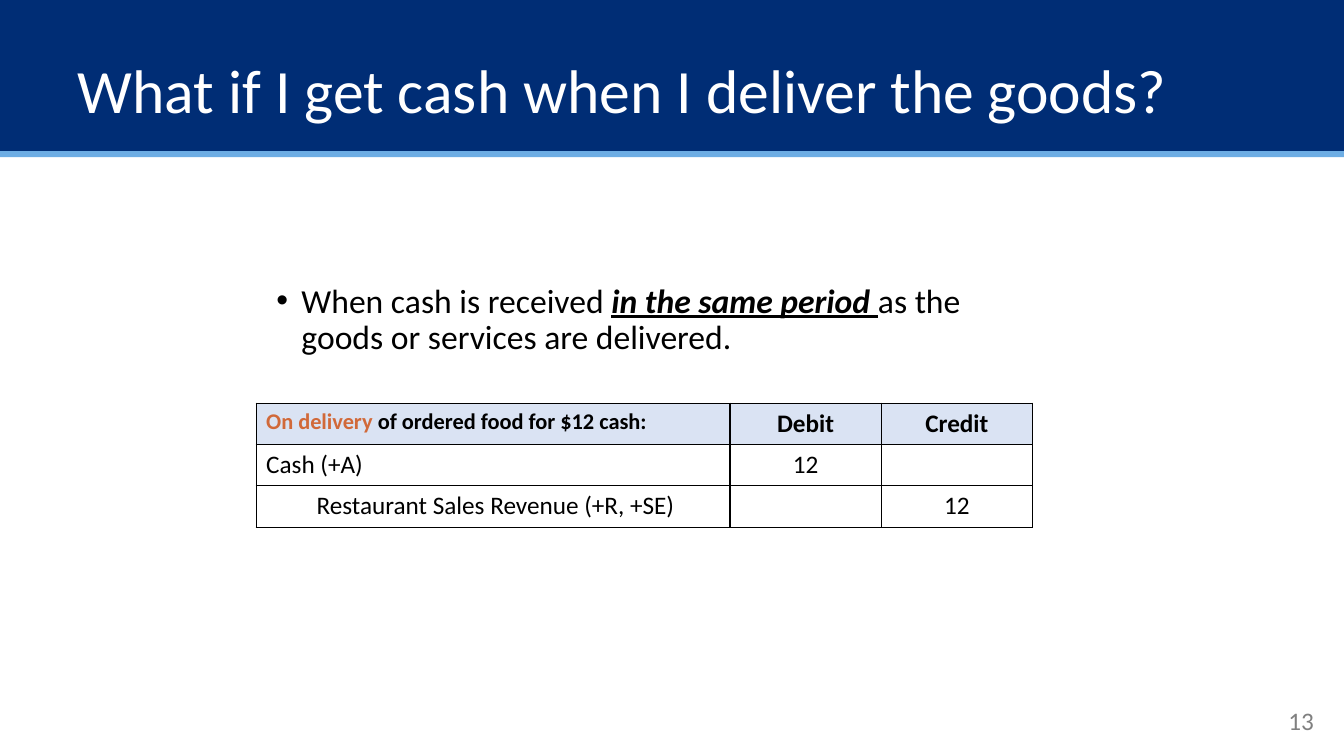
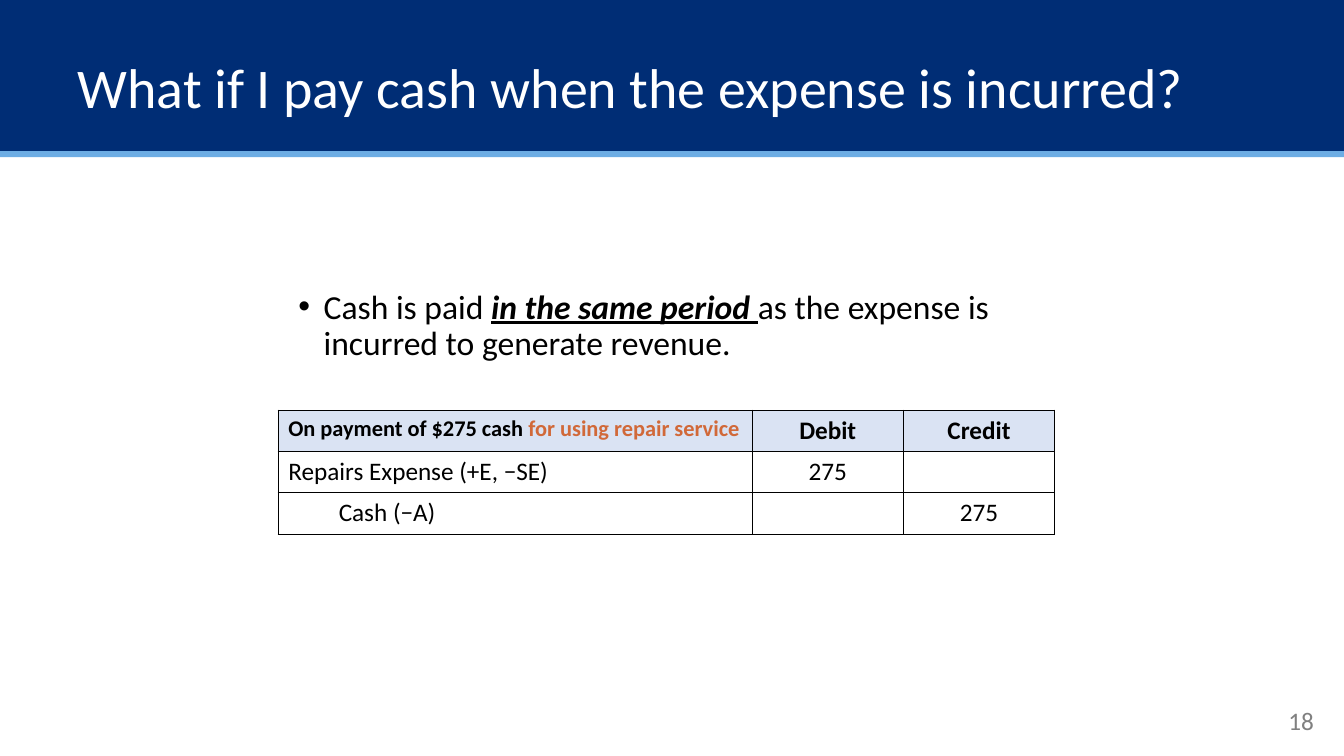
from lxml import etree
from pptx import Presentation
from pptx.dml.color import RGBColor
from pptx.enum.shapes import MSO_SHAPE
from pptx.enum.text import MSO_ANCHOR, MSO_AUTO_SIZE, PP_ALIGN
from pptx.oxml.ns import qn
from pptx.util import Inches, Pt

RECT = MSO_SHAPE.RECTANGLE
TOP = MSO_ANCHOR.TOP
NO_FIT = MSO_AUTO_SIZE.NONE
LEFT, CENTER, RIGHT = PP_ALIGN.LEFT, PP_ALIGN.CENTER, PP_ALIGN.RIGHT

COLORS = {
    "navy": "002D75",
    "sky": "6DADE4",
    "white": "FFFFFF",
    "black": "000000",
    "gray": "808080",
    "orange": "D16939",
    "header": "DAE3F3",
}
FONT = "Calibri"
COL_WIDTHS = [4.7, 1.5, 1.5]
ROW_HEIGHT = 0.41

SLIDES = [
    {
        "number": "13",
        "title": "What if I get cash when I deliver the goods?",
        "title_size": 44,
        "body_at": (2.64, 2.77),
        "body": ["When cash is received ", "in the same period ",
                 "as the goods or services are delivered."],
        "table_at": (2.54, 4),
        "heading": [("On delivery ", "orange"),
                    ("of ordered food for $12 cash:", "black")],
        "debit": "Cash (+A)",
        "credit": "Restaurant Sales Revenue (+R, +SE)",
        "amount": "12",
    },
    {
        "number": "18",
        "title": "What if I pay cash when the expense is incurred?",
        "title_size": 40,
        "body_at": (2.86, 2.83),
        "body": ["Cash is paid ", "in the same period ",
                 "as the expense is incurred to generate revenue."],
        "table_at": (2.76, 4.07),
        "heading": [("On payment of $275 cash ", "black"),
                    ("for using repair service", "orange")],
        "debit": "Repairs Expense (+E, −SE)",
        "credit": "Cash (−A)",
        "amount": "275",
    },
]


def style(p, size, color, align=LEFT):
    p.alignment = align
    p.font.name = FONT
    p.font.size = Pt(size)
    p.font.color.rgb = RGBColor.from_string(COLORS[color])


def add_borders(cell):
    tcPr = cell._tc.get_or_add_tcPr()
    for side in ("a:lnL", "a:lnR", "a:lnT", "a:lnB"):
        ln = etree.SubElement(tcPr, qn(side), w=str(Pt(1)))
        fill = etree.SubElement(ln, qn("a:solidFill"))
        etree.SubElement(fill, qn("a:srgbClr"), val=COLORS["black"])


prs = Presentation()
prs.slide_width = Inches(13.33)
prs.slide_height = Inches(7.5)
layout = prs.slide_layouts[1]
slides = [prs.slides.add_slide(layout) for _ in SLIDES]

for i, (top, height, color) in enumerate([(0, 1.5, "navy"), (1.5, 0.06, "sky")]):
    band = slides[0].shapes.add_shape(
        RECT, 0, Inches(top), prs.slide_width, Inches(height))
    band.shadow.inherit = False
    band.fill.solid()
    band.fill.fore_color.rgb = RGBColor.from_string(COLORS[color])
    band.line.fill.background()
    layout.element.cSld.spTree.insert(2 + i, band.element)

for s, data in zip(slides, SLIDES):
    title, body = s.shapes.title, s.placeholders[1]
    title.left, title.top = Inches(0.67), Inches(0.55)
    title.width, title.height = Inches(11.24), Inches(0.62)
    body.left, body.top = [Inches(v) for v in data["body_at"]]
    body.width, body.height = Inches(7.5), Inches(0.83)
    for sp in (title, body):
        tf = sp.text_frame
        tf.auto_size = NO_FIT
        tf.vertical_anchor = TOP
        tf.paragraphs[0].line_spacing = 0.9

    p = title.text_frame.paragraphs[0]
    p.text = data["title"]
    style(p, data["title_size"], "white")

    p = body.text_frame.paragraphs[0]
    for i, text in enumerate(data["body"]):
        r = p.add_run()
        r.text = text
        if i == 1:
            r.font.bold = r.font.italic = r.font.underline = True
    style(p, 24, "black")
    p.space_before = Pt(0)
    pPr = p._p.get_or_add_pPr()
    pPr.set("marL", str(Inches(0.25)))
    pPr.set("indent", str(-Inches(0.25)))

    sp = s.shapes.add_textbox(Inches(10.13), Inches(6.95), Inches(3), Inches(0.4))
    tf = sp.text_frame
    tf.word_wrap = True
    p = tf.paragraphs[0]
    p.text = data["number"]
    style(p, 18, "gray", RIGHT)

    rows = [
        ["", "Debit", "Credit"],
        [data["debit"], data["amount"], ""],
        [data["credit"], "", data["amount"]],
    ]
    left, top = data["table_at"]
    table = s.shapes.add_table(
        len(rows), len(COL_WIDTHS), Inches(left), Inches(top),
        Inches(sum(COL_WIDTHS)), Inches(ROW_HEIGHT * len(rows))).table
    for column, width in zip(table.columns, COL_WIDTHS):
        column.width = Inches(width)
    for i, row in enumerate(rows):
        for j, text in enumerate(row):
            cell = table.cell(i, j)
            add_borders(cell)
            cell.fill.solid()
            cell.fill.fore_color.rgb = RGBColor.from_string(
                COLORS["white" if i else "header"])
            p = cell.text_frame.paragraphs[0]
            p.text = text
            style(p, 18, "black", CENTER if j else LEFT)
            p.font.bold = i == 0

    p = table.cell(0, 0).text_frame.paragraphs[0]
    p.font.size = Pt(16)
    for text, color in data["heading"]:
        r = p.add_run()
        r.text = text
        r.font.color.rgb = RGBColor.from_string(COLORS[color])
    p = table.cell(2, 0).text_frame.paragraphs[0]
    p._p.get_or_add_pPr().set("marL", str(Inches(0.5)))

prs.save("out.pptx")
